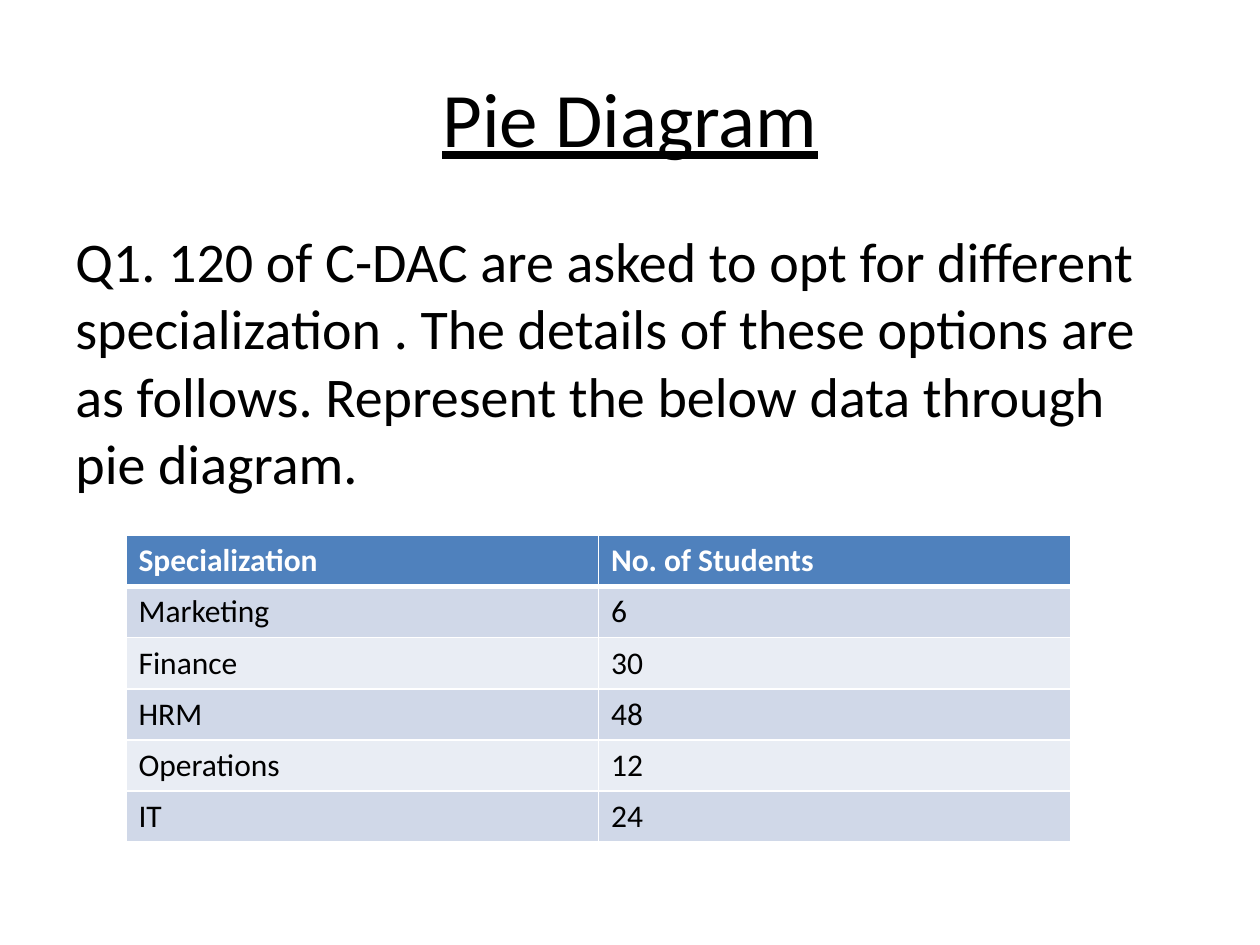
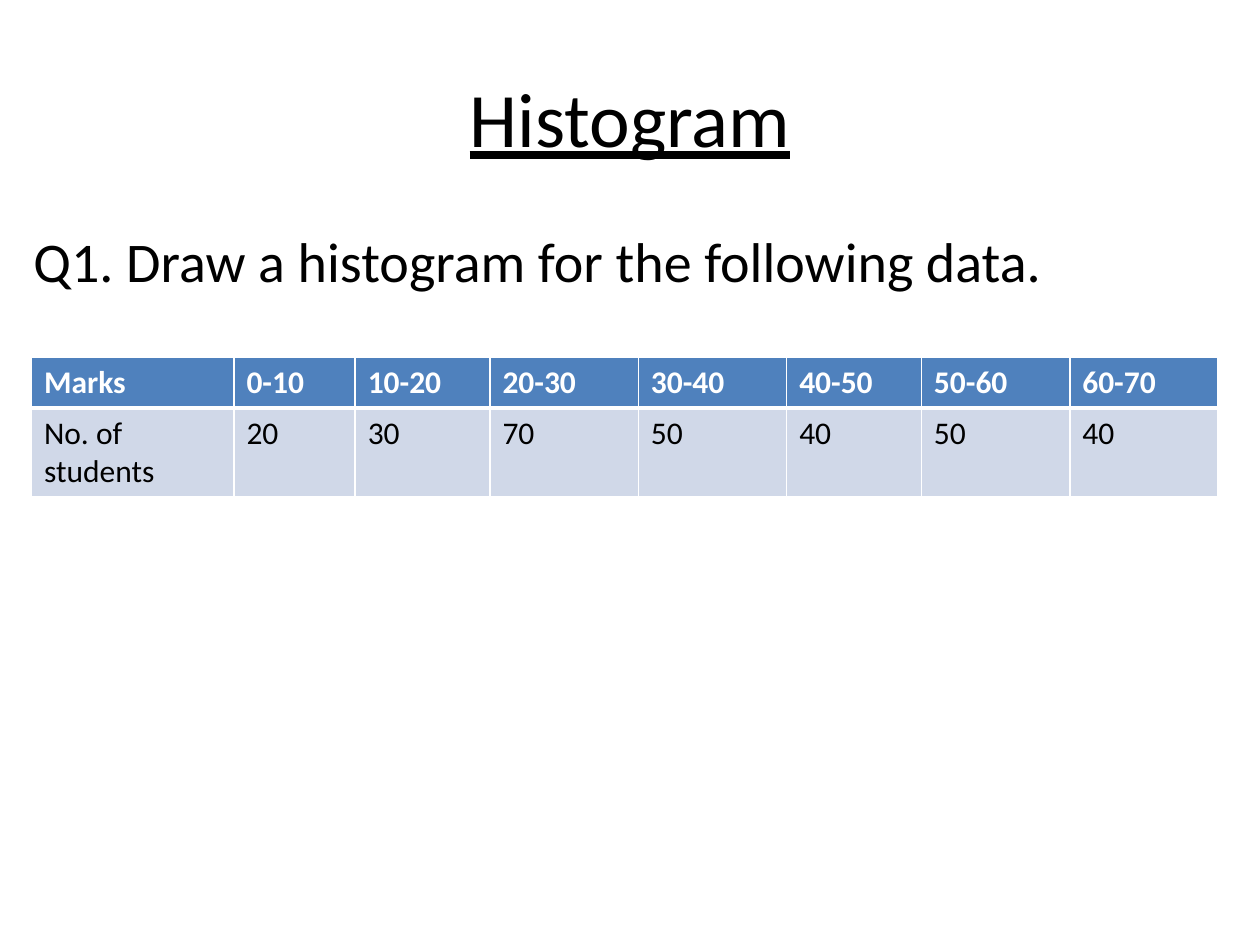
"""Build two practice slides: a pie diagram and a histogram exercise."""
from dataclasses import dataclass

from lxml import etree
from pptx import Presentation
from pptx.dml.color import RGBColor
from pptx.enum.text import MSO_ANCHOR, PP_ALIGN
from pptx.oxml.ns import qn
from pptx.util import Pt

LEFT, CENTER = PP_ALIGN.LEFT, PP_ALIGN.CENTER
TOP, MIDDLE = MSO_ANCHOR.TOP, MSO_ANCHOR.MIDDLE
TITLE_ONLY = 5


@dataclass(frozen=True)
class Theme:
    """Colours, font and type sizes."""
    font: str = "Calibri"
    ink: str = "000000"
    paper: str = "FFFFFF"
    header: str = "4F81BD"
    bands: tuple[str, str] = ("D0D8E8", "E9EDF4")
    title_size: float = 44
    body_size: float = 32
    table_size: float = 18
    border: float = 1
    header_border: float = 3


@dataclass(frozen=True)
class Box:
    """A frame in points."""
    left: float
    top: float
    width: float
    height: float


@dataclass(frozen=True)
class Exercise:
    """A slide with a title, a question and a data table."""
    title: str
    question: str
    question_box: Box
    table_left: float
    table_top: float
    col_widths: tuple[float, ...]
    rows: tuple[tuple[str, ...], ...]


THEME = Theme()
TITLE_BOX = Box(36, 21.6, 648, 90)
ROW_HEIGHT = 29.2

EXERCISES = (
    Exercise(
        "Pie Diagram",
        "Q1. 120 of C-DAC are asked to opt for different specialization . "
        "The details of these options are as follows. "
        "Represent the below data through pie diagram.",
        Box(36, 126, 648, 356.4),
        72, 306, (270, 270),
        (("Specialization", "No. of Students"),
         ("Marketing", "6"),
         ("Finance", "30"),
         ("HRM", "48"),
         ("Operations", "12"),
         ("IT", "24")),
    ),
    Exercise(
        "Histogram",
        "Q1. Draw a histogram for the following data.",
        Box(12, 126, 696, 356.4),
        18, 204, (115.7, 69.3, 77, 84.8, 84.8, 77, 84.8, 84.8),
        (("Marks", "0-10", "10-20", "20-30", "30-40", "40-50", "50-60", "60-70"),
         ("No. of students", "20", "30", "70", "50", "40", "50", "40")),
    ),
)


def write(tf, text: str, *, size: float, color: str = THEME.ink, bold: bool = False,
          underline: bool = False, align=LEFT) -> None:
    """Put formatted text into a text frame."""
    tf.word_wrap = True
    p = tf.paragraphs[0]
    p.alignment = align
    r = p.add_run()
    r.text = text
    r.font.name = THEME.font
    r.font.size = Pt(size)
    r.font.bold = bold
    r.font.underline = underline
    r.font.color.rgb = RGBColor.from_string(color)


def place(sp, box: Box) -> None:
    """Move and size a shape."""
    sp.left, sp.top = Pt(box.left), Pt(box.top)
    sp.width, sp.height = Pt(box.width), Pt(box.height)


def set_borders(cell, top: float, bottom: float) -> None:
    """Draw the four borders of a cell ahead of its fill."""
    tc_pr = cell._tc.get_or_add_tcPr()
    widths = {"a:lnL": THEME.border, "a:lnR": THEME.border, "a:lnT": top, "a:lnB": bottom}
    for i, (tag, width) in enumerate(widths.items()):
        ln = etree.Element(qn(tag), w=str(Pt(width)))
        fill = etree.SubElement(ln, qn("a:solidFill"))
        etree.SubElement(fill, qn("a:srgbClr"), val=THEME.paper)
        tc_pr.insert(i, ln)


def add_data_table(s, ex: Exercise) -> None:
    """Add a table with a header row and banded body rows."""
    n_rows, n_cols = len(ex.rows), len(ex.col_widths)
    table = s.shapes.add_table(n_rows, n_cols, Pt(ex.table_left), Pt(ex.table_top),
                               Pt(sum(ex.col_widths)), Pt(n_rows * ROW_HEIGHT)).table
    for col, width in zip(table.columns, ex.col_widths):
        col.width = Pt(width)
    for i, values in enumerate(ex.rows):
        table.rows[i].height = Pt(ROW_HEIGHT)
        head = i == 0
        top = THEME.header_border if i == 1 else THEME.border
        bottom = THEME.header_border if head else THEME.border
        for j, value in enumerate(values):
            cell = table.cell(i, j)
            cell.fill.solid()
            cell.fill.fore_color.rgb = RGBColor.from_string(
                THEME.header if head else THEME.bands[(i - 1) % 2])
            set_borders(cell, top, bottom)
            write(cell.text_frame, value, size=THEME.table_size, bold=head,
                  color=THEME.paper if head else THEME.ink)


def add_exercise(prs, ex: Exercise) -> None:
    """Add one exercise slide."""
    s = prs.slides.add_slide(prs.slide_layouts[TITLE_ONLY])
    title = s.shapes.title
    place(title, TITLE_BOX)
    title.text_frame.vertical_anchor = MIDDLE
    write(title.text_frame, ex.title, size=THEME.title_size, underline=True, align=CENTER)
    box = ex.question_box
    sp = s.shapes.add_textbox(Pt(box.left), Pt(box.top), Pt(box.width), Pt(box.height))
    sp.text_frame.vertical_anchor = TOP
    write(sp.text_frame, ex.question, size=THEME.body_size)
    add_data_table(s, ex)


def main() -> None:
    """Build and save the presentation."""
    prs = Presentation()
    prs.slide_width, prs.slide_height = Pt(720), Pt(540)
    for ex in EXERCISES:
        add_exercise(prs, ex)
    prs.save("out.pptx")


if __name__ == "__main__":
    main()
